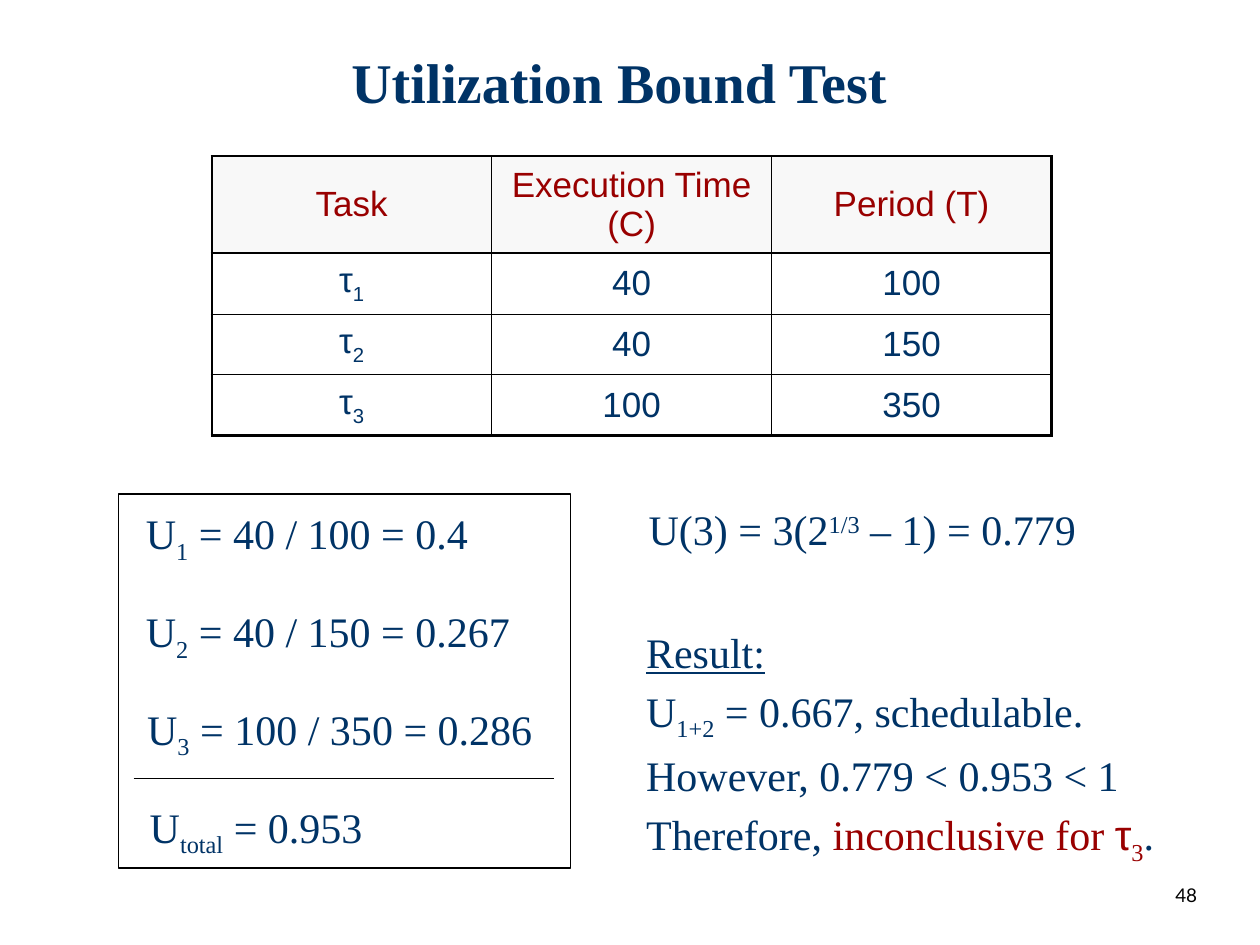
import lxml.etree as etree
import pptx
import pptx.dml.color
import pptx.enum.shapes
import pptx.enum.text
import pptx.oxml.ns
import pptx.util
from dataclasses import dataclass


@dataclass(frozen=True)
class Theme:
    navy: str = "003366"
    red: str = "990000"
    black: str = "000000"
    pale: str = "F8F8F8"
    serif: str = "Times New Roman"
    sans: str = "Arial"
    small: str = "Lato"
    title: float = 32
    body: float = 24
    cell: float = 20
    note: float = 10.8
    thick: float = 1.47
    thin: float = 0.45
    rule: float = 0.75


T = Theme()
WIDE, HIGH = 10, 7.5


def sub(text, **style):
    return text, dict(style, base=-25)


# A paragraph is a list of runs: plain text, or text with its own format.
TITLE = [["Utilization Bound Test"]]
NUMBER = [["48"]]
HEAD = ["Task", "Execution Time (C)", "Period (T)"]
TASKS = [("1", "40", "100"), ("2", "40", "150"), ("3", "100", "350")]
SUMS = [
    (10.6, "1", " = 40 / 100 = 0.4"),
    (10.6, "2", " = 40 / 150 = 0.267"),
    (10.7, "3", " = 100 / 350 = 0.286"),
    (10.9, "total", " = 0.953"),
]
BOUND = [["U(3) = 3(2", ("1/3", {"base": 30}), " – 1) = 0.779"]]
RESULT = [
    [("Result:", {"under": True})],
    ["U", sub("1+2"), " = 0.667, schedulable."],
    ["However, 0.779 < 0.953 < 1"],
    ["Therefore, ", ("inconclusive for ", {"color": T.red}),
     ("τ", {"color": T.red, "font": T.sans}), sub("3", color=T.red), "."],
]

# Places in percent of the slide: left, top, width, height
AREA = {
    "title": (0, 4.4, 98.3, 8.5),
    "number": (88, 93.33, 8, 4.27),
    "table": (16.8, 16.53, 66.67, 29.5),
    "bound": (50.5, 52.67, 40, 6.7),
    "frame": (9.4, 52.27, 35.9, 39.6),
    "result": (50.3, 64.8, 45, 27.6),
}
ROWS = (10.27, 6.43, 6.43, 6.43)
SUM_TOP, SUM_STEP = 53.07, 10.35
LINE = (10.6, 82.4, 44)


def across(share):
    return pptx.util.Inches(WIDE * share / 100)


def down(share):
    return pptx.util.Inches(HIGH * share / 100)


def place(left, top, width, height):
    return across(left), down(top), across(width), down(height)


def paint(code):
    return pptx.dml.color.RGBColor.from_string(code)


def write(frame, paras, font=T.serif, size=T.body, color=T.navy,
          bold=False, align="LEFT", lead=None):
    frame.word_wrap = True
    for i, runs in enumerate(paras):
        para = frame.paragraphs[0] if i == 0 else frame.add_paragraph()
        para.alignment = getattr(pptx.enum.text.PP_ALIGN, align)
        if lead:
            para.line_spacing = lead
        for item in runs:
            text, own = (item, {}) if isinstance(item, str) else item
            run = para.add_run()
            run.text = text
            run.font.name = own.get("font", font)
            run.font.size = pptx.util.Pt(size)
            run.font.bold = bold
            run.font.underline = own.get("under", False)
            run.font.color.rgb = paint(own.get("color", color))
            if "base" in own:
                run.font._element.set("baseline", str(own["base"] * 1000))


def label(slide, area, paras, **form):
    box = slide.shapes.add_textbox(*place(*area))
    write(box.text_frame, paras, **form)


def edge(cell, sides):
    """Put borders on a cell; sides holds widths for L, R, T and B in order."""
    tag = pptx.oxml.ns.qn
    props = cell._tc.get_or_add_tcPr()
    for i, (side, width) in enumerate(zip("LRTB", sides)):
        line = etree.Element(tag("a:ln" + side), w=str(int(pptx.util.Pt(width))))
        fill = etree.SubElement(line, tag("a:solidFill"))
        etree.SubElement(fill, tag("a:srgbClr"), val=T.black)
        props.insert(i, line)


def grid(slide):
    rows = [[[text] for text in HEAD]]
    rows += [[["τ", sub(n)], [c], [t]] for n, c, t in TASKS]
    last, end = len(rows) - 1, len(HEAD) - 1
    table = slide.shapes.add_table(
        len(rows), len(HEAD), *place(*AREA["table"])).table
    table.horz_banding = False
    for r, row in enumerate(rows):
        table.rows[r].height = down(ROWS[r])
        for c, runs in enumerate(row):
            cell = table.cell(r, c)
            cell.vertical_anchor = pptx.enum.text.MSO_ANCHOR.MIDDLE
            if r == 0:
                cell.fill.solid()
                cell.fill.fore_color.rgb = paint(T.pale)
            else:
                cell.fill.background()
            write(cell.text_frame, [runs], font=T.sans, size=T.cell,
                  color=T.navy if r else T.red, align="CENTER")
            heavy = (c == 0, c == end, r <= 1, r in (0, last))
            edge(cell, [T.thick if h else T.thin for h in heavy])


def sums(slide):
    frame = slide.shapes.add_shape(
        pptx.enum.shapes.MSO_SHAPE.RECTANGLE, *place(*AREA["frame"]))
    frame.shadow.inherit = False
    frame.fill.background()
    left, top, right = LINE
    line = slide.shapes.add_connector(
        pptx.enum.shapes.MSO_CONNECTOR.STRAIGHT,
        across(left), down(top), across(right), down(top))
    etree.SubElement(line._element.spPr, pptx.oxml.ns.qn("a:effectLst"))
    for shape in (frame, line):
        shape.line.color.rgb = paint(T.black)
        shape.line.width = pptx.util.Pt(T.rule)
    for i, (left, name, text) in enumerate(SUMS):
        label(slide, (left, SUM_TOP + i * SUM_STEP, 34, 7.5),
              [["U", sub(name), text]])


def main():
    deck = pptx.Presentation()
    deck.slide_width, deck.slide_height = across(100), down(100)
    slide = deck.slides.add_slide(deck.slide_layouts[6])
    label(slide, AREA["number"], NUMBER, font=T.small, size=T.note,
          color=T.black, align="RIGHT", lead=0.8)
    label(slide, AREA["title"], TITLE, size=T.title, bold=True, align="CENTER")
    grid(slide)
    label(slide, AREA["bound"], BOUND)
    sums(slide)
    label(slide, AREA["result"], RESULT, lead=1.15)
    deck.save("out.pptx")


if __name__ == "__main__":
    main()
